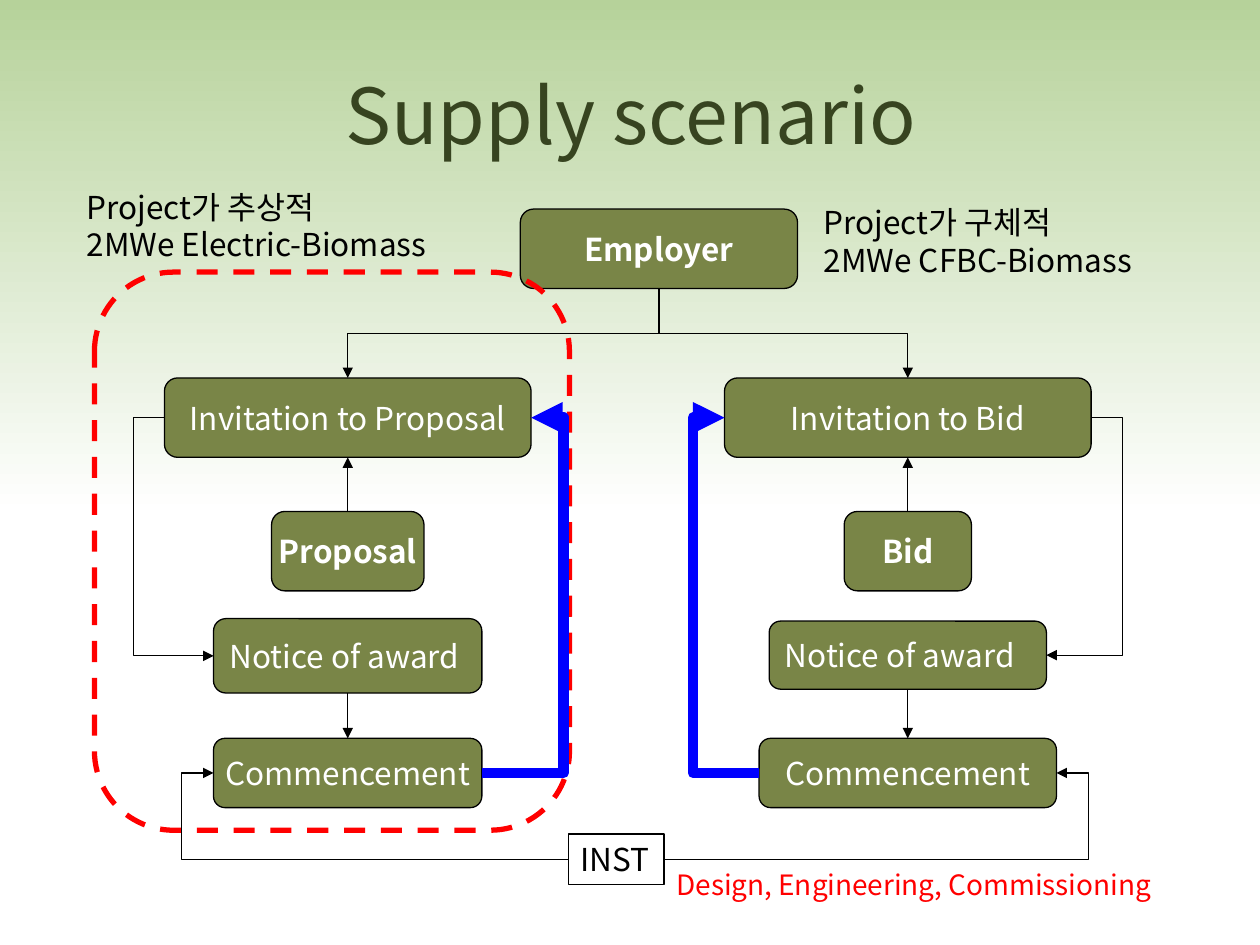
from dataclasses import dataclass
from typing import Optional

from lxml.etree import SubElement
from pptx import Presentation
from pptx.dml.color import RGBColor as RGB
from pptx.enum.dml import MSO_LINE as DASH
from pptx.enum.shapes import MSO_CONNECTOR as CXN, MSO_SHAPE as SHAPE
from pptx.enum.text import MSO_ANCHOR as ANCHOR, MSO_AUTO_SIZE as FIT, PP_ALIGN as ALIGN
from pptx.oxml.ns import qn
from pptx.util import Inches, Pt

FONT = "Noto Sans CJK KR"
COLORS = {
    "sky": "B6D29A", "white": "FFFFFF", "title": "374420", "olive": "798547",
    "black": "000000", "red": "FF0000", "blue": "0000FF",
}
COLS, ROWS = 100, 75
TOP, LEFT, BOTTOM, RIGHT = range(4)
LEFT_AXIS, RIGHT_AXIS = 27.6, 72.05

prs = Presentation()
prs.slide_width, prs.slide_height = Inches(10), Inches(7.5)
s = prs.slides.add_slide(prs.slide_layouts[6])


@dataclass
class Box:
    key: str
    text: str
    axis: float
    top: float
    width: float
    height: float = 6.3
    bold: bool = False
    align: ALIGN = ALIGN.CENTER


@dataclass
class Label:
    text: str
    left: float
    top: float
    width: float
    height: float
    size: int = 18
    color: str = "black"


@dataclass
class Link:
    start: str
    start_site: int
    end: str
    end_site: int
    bend: Optional[float] = None
    color: str = "black"
    weight: float = 0.75


BOXES = [
    Box("employer", "Employer", 52.3, 16.6, 22, bold=True),
    Box("invite_l", "Invitation to Proposal", LEFT_AXIS, 30, 29.1),
    Box("invite_r", "Invitation to Bid", RIGHT_AXIS, 30, 29.1),
    Box("offer_l", "Proposal", LEFT_AXIS, 40.6, 12.1, bold=True),
    Box("offer_r", "Bid", RIGHT_AXIS, 40.6, 10.1, bold=True),
    Box("award_l", "Notice of award", LEFT_AXIS, 49.1, 21.3, 5.9, align=ALIGN.LEFT),
    Box("award_r", "Notice of award", RIGHT_AXIS, 49.3, 22, 5.4, align=ALIGN.LEFT),
    Box("start_l", "Commencement", LEFT_AXIS, 58.6, 21.3, 5.5),
    Box("start_r", "Commencement", RIGHT_AXIS, 58.6, 23.6, 5.5),
]
LABELS = [
    Label("Project가 추상적\n2MWe Electric-Biomass", 5.9, 14.4, 31.3, 7.1),
    Label("Project가 구체적\n2MWe CFBC-Biomass", 64.4, 15.6, 29.4, 7.1),
    Label("Design, Engineering, Commissioning", 52.7, 68.4, 40.9, 3.7, 16, "red"),
]
LINKS = [
    Link("employer", BOTTOM, "invite_l", TOP),
    Link("employer", BOTTOM, "invite_r", TOP),
    Link("offer_l", TOP, "invite_l", BOTTOM),
    Link("offer_r", TOP, "invite_r", BOTTOM),
    Link("award_l", BOTTOM, "start_l", TOP),
    Link("award_r", BOTTOM, "start_r", TOP),
    Link("invite_l", LEFT, "award_l", LEFT, 10.6),
    Link("invite_r", RIGHT, "award_r", RIGHT, 89.1),
    Link("institute", LEFT, "start_l", LEFT, 14.4),
    Link("institute", RIGHT, "start_r", RIGHT, 86.4),
    Link("start_l", RIGHT, "invite_l", RIGHT, 44.7, "blue", 6),
    Link("start_r", LEFT, "invite_r", LEFT, 55, "blue", 6),
]


def rgb(name: str) -> RGB:
    return RGB.from_string(COLORS[name])


def col(n: float) -> int:
    return round(prs.slide_width * n / COLS)


def row(n: float) -> int:
    return round(prs.slide_height * n / ROWS)


def area(left: float, top: float, width: float, height: float) -> tuple:
    return col(left), row(top), col(width), row(height)


def write(sp, text: str, *, size=18, color="black", bold=False, align=ALIGN.LEFT,
          anchor=ANCHOR.TOP, wrap=False, fit=FIT.NONE) -> None:
    tf = sp.text_frame
    tf.word_wrap, tf.vertical_anchor, tf.auto_size = wrap, anchor, fit
    for i, line in enumerate(text.split("\n")):
        p = tf.add_paragraph() if i else tf.paragraphs[0]
        p.alignment = align
        r = p.add_run()
        r.text = line
        r.font.name, r.font.size, r.font.bold = FONT, Pt(size), bold
        r.font.color.rgb = rgb(color)
        SubElement(r.font._element, qn("a:ea"), typeface=FONT)


def shape(kind: SHAPE, at: tuple, fill: Optional[str] = None,
          line: Optional[str] = "black", weight: float = 0.75):
    sp = s.shapes.add_shape(kind, *area(*at))
    sp.shadow.inherit = False
    if fill:
        sp.fill.solid()
        sp.fill.fore_color.rgb = rgb(fill)
    else:
        sp.fill.background()
    if line:
        sp.line.color.rgb, sp.line.width = rgb(line), Pt(weight)
    else:
        sp.line.fill.background()
    return sp


def draw_box(box: Box):
    at = box.axis - box.width / 2, box.top, box.width, box.height
    sp = shape(SHAPE.ROUNDED_RECTANGLE, at, "olive")
    write(sp, box.text, color="white", bold=box.bold, align=box.align, anchor=ANCHOR.MIDDLE)
    return sp


def draw_label(label: Label) -> None:
    tb = s.shapes.add_textbox(*area(label.left, label.top, label.width, label.height))
    write(tb, label.text, size=label.size, color=label.color, fit=FIT.SHAPE_TO_FIT_TEXT)


def turn_downward(c) -> None:
    cx, cy = (c.begin_x + c.end_x) // 2, (c.begin_y + c.end_y) // 2
    dx, dy = (c.end_x - c.begin_x) // 2, (c.end_y - c.begin_y) // 2
    c.begin_x, c.begin_y = cx - dy, cy + dx
    c.end_x, c.end_y = cx + dy, cy - dx
    c._element.spPr.find(qn("a:xfrm")).set("rot", str(90 * 60000))


def draw_link(link: Link, nodes: dict) -> None:
    forked = link.start == "employer"
    kind = CXN.ELBOW if forked or link.bend is not None else CXN.STRAIGHT
    c = s.shapes.add_connector(kind, 0, 0, 0, 0)
    c.begin_connect(nodes[link.start], link.start_site)
    c.end_connect(nodes[link.end], link.end_site)
    pr = c._element.spPr
    if forked:
        turn_downward(c)
    elif link.bend is not None:
        share = (col(link.bend) - c.begin_x) / (c.end_x - c.begin_x)
        guides = pr.find(qn("a:prstGeom")).get_or_add_avLst()
        SubElement(guides, qn("a:gd"), name="adj1", fmla=f"val {round(share * 100000)}")
    c.line.color.rgb, c.line.width = rgb(link.color), Pt(link.weight)
    SubElement(c.line._get_or_add_ln(), qn("a:tailEnd"), type="triangle")
    SubElement(pr, qn("a:effectLst"))


def main() -> None:
    sky = shape(SHAPE.RECTANGLE, (0, 0, COLS, 40.8), line=None)
    sky.fill.gradient()
    sky.fill.gradient_angle = 270
    for stop, position, name in zip(sky.fill.gradient_stops, (0, 1), ("sky", "white")):
        stop.position, stop.color.rgb = position, rgb(name)

    title = s.shapes.add_textbox(*area(5.1, 2.8, 90, 12.5))
    write(title, "Supply scenario", size=44, color="title", align=ALIGN.CENTER,
          anchor=ANCHOR.MIDDLE, wrap=True)

    nodes = {box.key: draw_box(box) for box in BOXES}
    nodes["institute"] = shape(SHAPE.RECTANGLE, (45.1, 66.2, 7.6, 4))
    write(nodes["institute"], "INST", fit=FIT.SHAPE_TO_FIT_TEXT)

    frame = shape(SHAPE.ROUNDED_RECTANGLE, (7.5, 21.6, 37.7, 44.3), line="red", weight=3)
    frame.line.dash_style = DASH.DASH
    for link in LINKS:
        draw_link(link, nodes)
    for label in LABELS:
        draw_label(label)
    prs.save("out.pptx")


if __name__ == "__main__":
    main()
